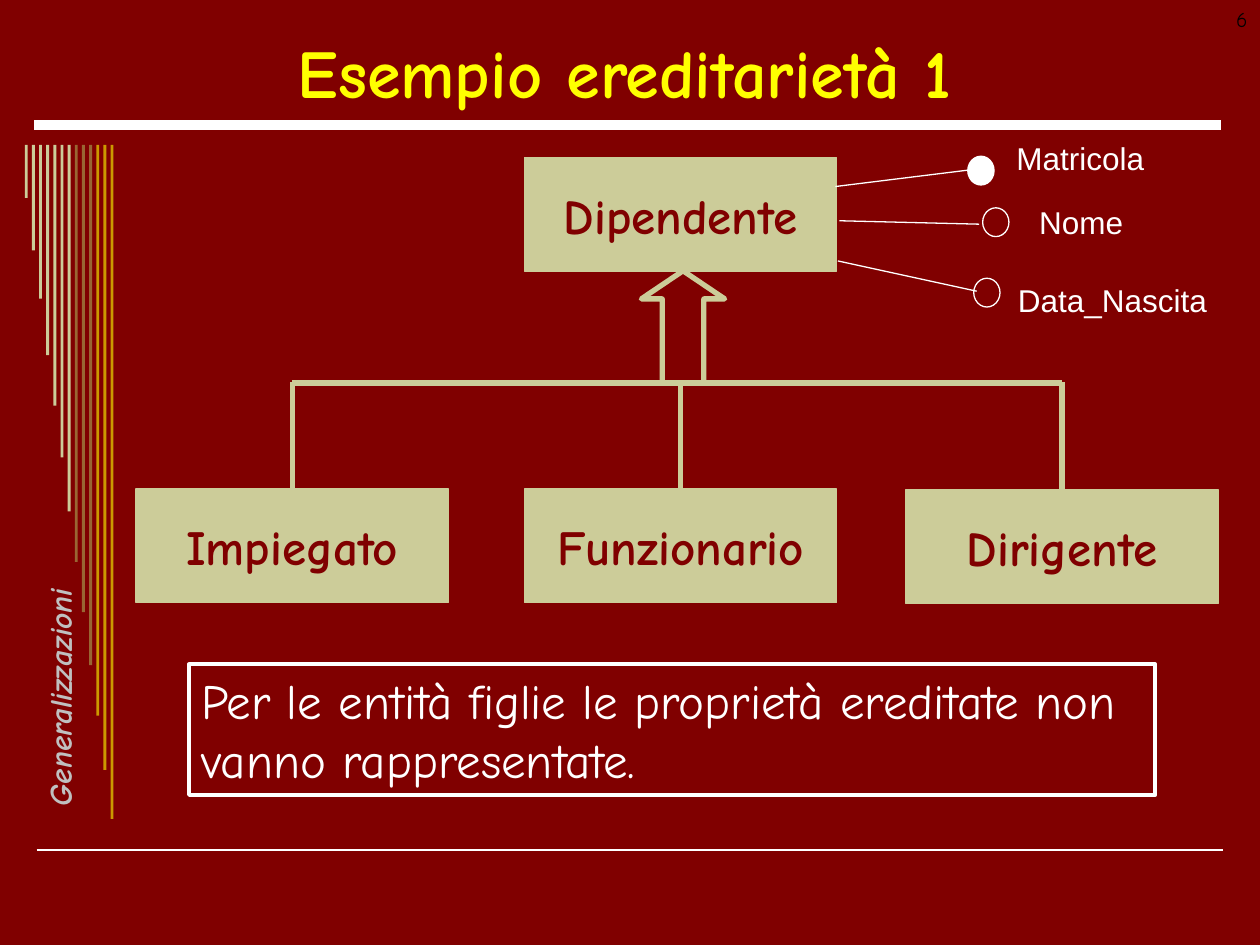
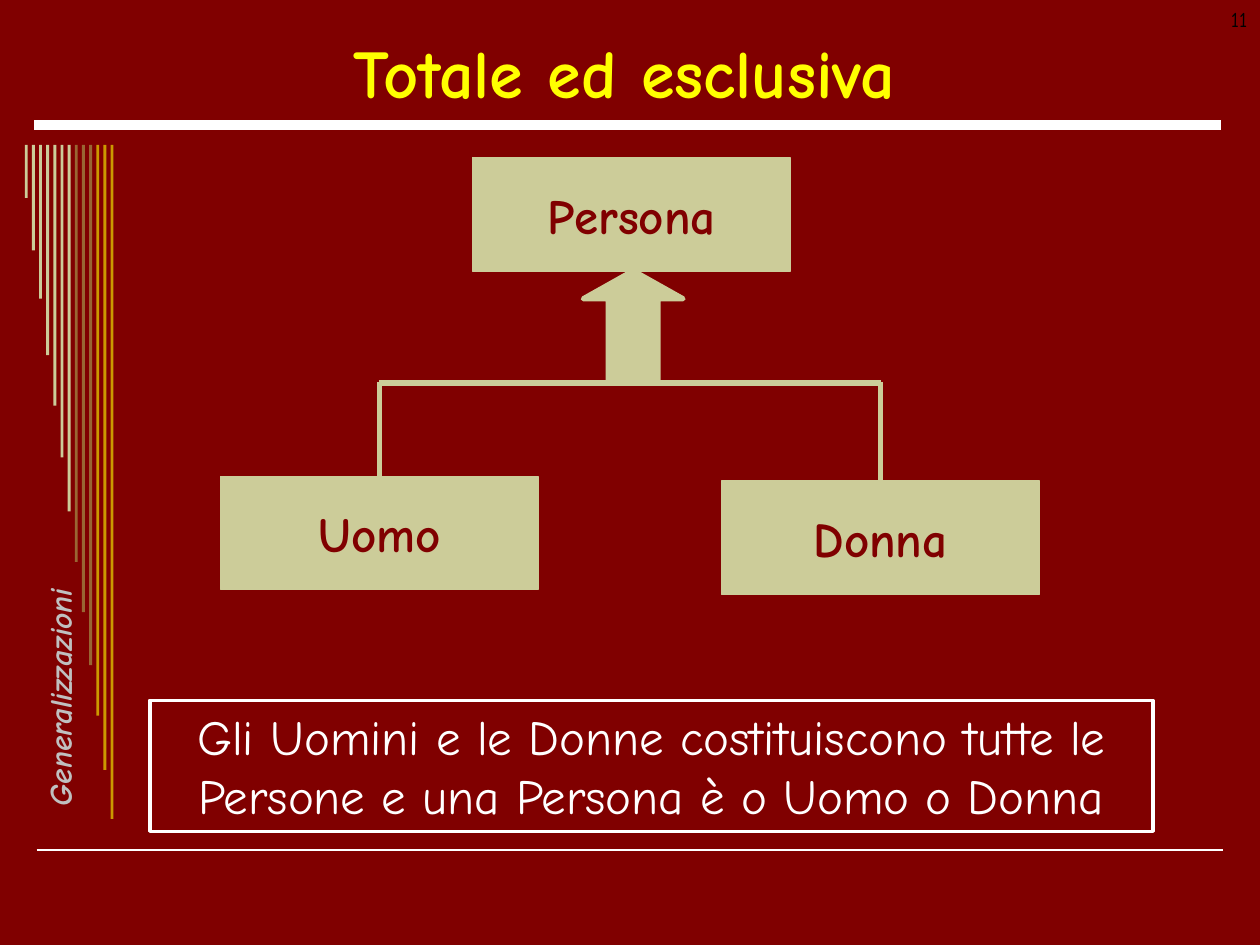
"""Build two slides that explain entity generalisation with class trees."""
from lxml import etree
from pptx import Presentation
from pptx.dml.color import RGBColor
from pptx.enum.shapes import MSO_CONNECTOR, MSO_SHAPE
from pptx.enum.text import MSO_ANCHOR, MSO_AUTO_SIZE, PP_ALIGN
from pptx.oxml.ns import qn
from pptx.util import Cm, Pt

RECT, OVAL, ARROW = MSO_SHAPE.RECTANGLE, MSO_SHAPE.OVAL, MSO_SHAPE.UP_ARROW
STRAIGHT = MSO_CONNECTOR.STRAIGHT
LEFT, CENTER, RIGHT = PP_ALIGN.LEFT, PP_ALIGN.CENTER, PP_ALIGN.RIGHT
TOP, MIDDLE = MSO_ANCHOR.TOP, MSO_ANCHOR.MIDDLE
FIXED = MSO_AUTO_SIZE.NONE


class Theme:
    red = RGBColor(0x80, 0x00, 0x00)
    sand = RGBColor(0xCC, 0xCC, 0x99)
    brown = RGBColor(0x99, 0x66, 0x33)
    gold = RGBColor(0xCC, 0x99, 0x00)
    white = RGBColor(0xFF, 0xFF, 0xFF)
    yellow = RGBColor(0xFF, 0xFF, 0x00)
    silver = RGBColor(0xC0, 0xC0, 0xC0)
    black = RGBColor(0x00, 0x00, 0x00)
    olive = "333300"
    face, plain = "Comic Neue", "Arial"
    title, body, label, number = Pt(39), Pt(28), Pt(18), Pt(12)
    hair, thin, mid, bold, rule = Pt(0.75), Pt(1), Pt(2), Pt(3), Pt(6)


def draw(page, kind, spot, fill=None, edge=None, width=Theme.hair):
    shape = page.shapes.add_shape(kind, *map(Cm, spot))
    shape.shadow.inherit = False
    if fill is None:
        shape.fill.background()
    else:
        shape.fill.solid()
        shape.fill.fore_color.rgb = fill
    if edge is None:
        shape.line.fill.background()
    else:
        shape.line.color.rgb = edge
        shape.line.width = width
    return shape


def write(shape, text, size, ink, align=LEFT, anchor=TOP, bold=False,
          wrap=True, face=Theme.face):
    frame = shape.text_frame
    frame.text = text
    frame.word_wrap = wrap
    frame.auto_size = FIXED
    frame.vertical_anchor = anchor
    para = frame.paragraphs[0]
    para.alignment = align
    para.font.size = size
    para.font.name = face
    para.font.bold = bold
    para.font.color.rgb = ink
    return para


deck = Presentation()
deck.slide_width, deck.slide_height = Cm(25.4), Cm(19.05)
layout = deck.slide_layouts[5]
back = deck.slide_master.background.fill
back.solid()
back.fore_color.rgb = Theme.red

plans = [
    dict(title="Esempio ereditarietà 1", number="6", width=6.3,
         top=("Dipendente", 10.57),
         kids=[("Impiegato", 2.74, 9.86), ("Funzionario", 10.57, 9.86),
               ("Dirigente", 18.26, 9.88)],
         arrow=(12.93, 5.46, 1.68, 2.26), head=0.337, fill=None,
         note="Per le entità figlie le proprietà ereditate non "
              "vanno rappresentate.",
         spot=(3.81, 13.39, 19.48, 2.64), align=LEFT),
    dict(title="Totale ed esclusiva", number="11", width=6.4,
         top=("Persona", 9.53),
         kids=[("Uomo", 4.45, 9.6), ("Donna", 14.55, 9.7)],
         arrow=(11.76, 5.46, 2.01, 2.26), head=0.281, fill=Theme.sand,
         note="Gli Uomini e le Donne costituiscono tutte le "
              "Persone e una Persona è o Uomo o Donna",
         spot=(3.02, 14.12, 20.22, 2.64), align=CENTER),
]
pages = [deck.slides.add_slide(layout) for plan in plans]
first = pages[0]
lines = []

decor = []
for left, y, width in [(0.74, 17.14, Theme.thin), (0.69, 2.52, Theme.rule)]:
    rule = first.shapes.add_connector(
        STRAIGHT, Cm(left), Cm(y), Cm(left + 23.92), Cm(y))
    lines.append((rule, Theme.white, width))
    decor.append(rule)

tall = [1.07, 2.13, 3.1, 4.24, 5.26, 6.3, 7.39,
        8.41, 9.42, 10.49, 11.51, 12.6, 13.59]
tints = [Theme.sand] * 7 + [Theme.brown] * 3 + [Theme.gold] * 3
for i, (height, tint) in enumerate(zip(tall, tints)):
    decor.append(draw(first, RECT, (0.5 + 1.73 * i / 12, 2.92, 0.06, height), tint))

side = first.shapes.add_textbox(Cm(-1.9), Cm(13.31), Cm(5.79), Cm(0.61))
side.rotation = 270
para = write(side, "Generalizzazioni", Theme.label, Theme.silver,
             bold=True, wrap=False)
para.font.italic = True
edge = etree.Element(qn("a:ln"), w=str(Theme.hair))
tint = etree.SubElement(etree.SubElement(edge, qn("a:solidFill")), qn("a:srgbClr"))
tint.set("val", Theme.olive)
para._p.find(".//" + qn("a:defRPr")).insert(0, edge)
decor.append(side)

for key, item in enumerate(decor, 100):
    item.element.find(".//" + qn("p:cNvPr")).set("id", str(key))
    layout.shapes.element.append(item.element)

for page, plan in zip(pages, plans):
    title = page.shapes.title
    title.left, title.top = Cm(0.89), Cm(0.53)
    title.width, title.height = Cm(23.39), Cm(1.8)
    write(title, plan["title"], Theme.title, Theme.yellow, CENTER, MIDDLE, True)

    boxes = []
    for name, left, top in [(*plan["top"], 3.18)] + plan["kids"]:
        box = draw(page, RECT, (left, top, plan["width"], 2.29),
                   Theme.sand, Theme.sand)
        write(box, name, Theme.body, Theme.red, CENTER, MIDDLE, True, False)
        boxes.append(box)

    mids = []
    for box in boxes[1:]:
        x = box.left + box.width // 2
        drop = page.shapes.add_connector(STRAIGHT, x, Cm(7.7), x, box.top)
        drop.end_connect(box, 0)
        lines.append((drop, Theme.sand, Theme.bold))
        mids.append(x)
    beam = page.shapes.add_connector(
        STRAIGHT, mids[0], Cm(7.72), mids[-1], Cm(7.72))
    lines.append((beam, Theme.sand, Theme.bold))
    arrow = draw(page, ARROW, plan["arrow"], plan["fill"], Theme.sand, Theme.bold)
    arrow.adjustments[0], arrow.adjustments[1] = 0.5, plan["head"]

    note = draw(page, RECT, plan["spot"], None, Theme.white, Theme.mid)
    write(note, plan["note"], Theme.body, Theme.white, plan["align"])
    number = page.shapes.add_textbox(Cm(19.48), Cm(0), Cm(5.92), Cm(1.27))
    write(number, plan["number"], Theme.number, Theme.black, RIGHT)

fields = [
    ("Matricola", (16.84, 3.76, 19.51, 3.43), (19.51, 3.15), Theme.white,
     (20.24, 2.67, 3.61)),
    ("Nome", (16.92, 4.45, 19.74, 4.52), (19.81, 4.19), None,
     (20.7, 3.96, 3.86)),
    ("Data_Nascita", (16.89, 5.26, 19.69, 5.87), (19.63, 5.61), None,
     (20.27, 5.54, 4.34)),
]
for name, ends, spot, fill, place in fields:
    wire = first.shapes.add_connector(STRAIGHT, *map(Cm, ends))
    lines.append((wire, Theme.white, Theme.hair))
    draw(first, OVAL, (*spot, 0.53, 0.58), fill, Theme.white)
    label = first.shapes.add_textbox(*map(Cm, place), Cm(1.02))
    write(label, name, Theme.label, Theme.white, face=Theme.plain)

for line, ink, width in lines:
    line.line.color.rgb = ink
    line.line.width = width
    etree.SubElement(line.element.spPr, qn("a:effectLst"))

deck.save("out.pptx")
